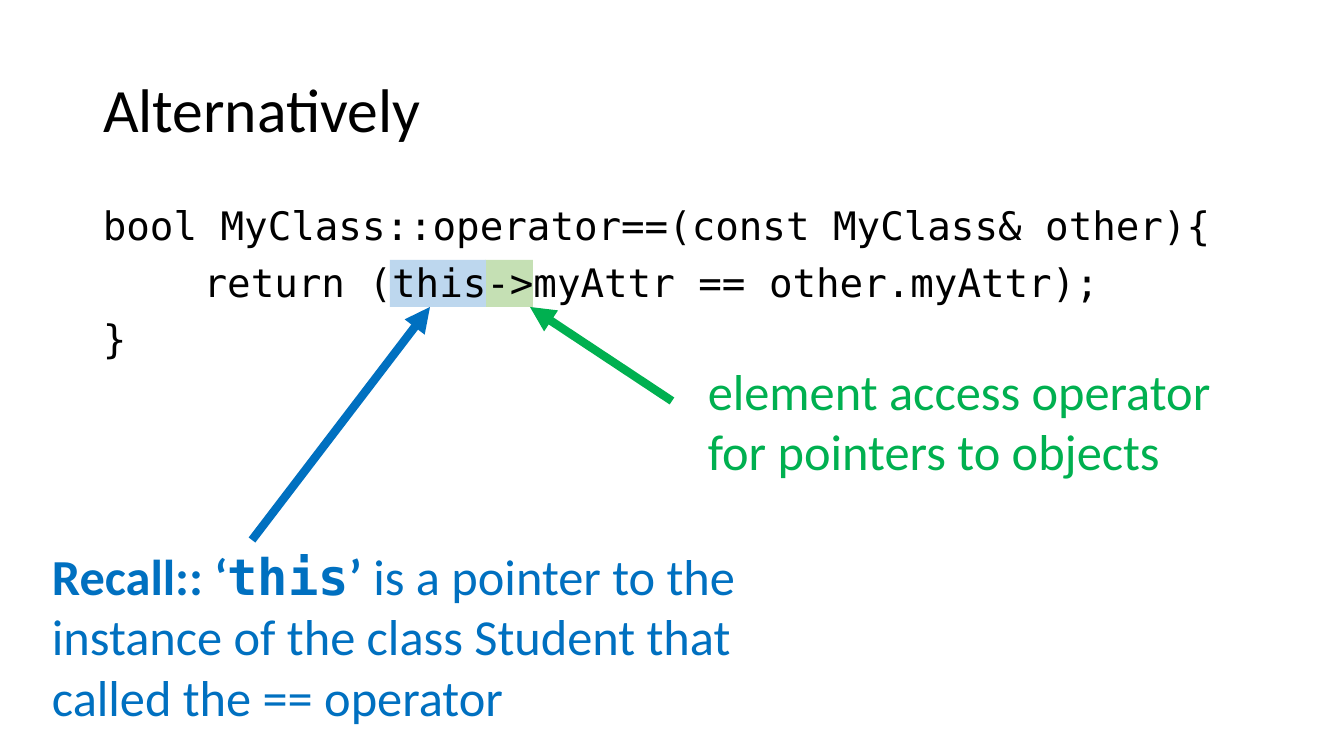
from lxml.etree import SubElement
from pptx import Presentation
from pptx.dml.color import RGBColor
from pptx.enum.shapes import MSO_CONNECTOR as Connector, MSO_SHAPE as Shape
from pptx.enum.text import MSO_ANCHOR as Anchor, MSO_AUTO_SIZE as AutoSize, PP_ALIGN as Align
from pptx.oxml.ns import qn
from pptx.util import Emu, Inches, Pt

# Content: texts are lists of paragraphs, paragraphs are lists of (text, bold, font)
SANS, MONO = "Calibri", "DejaVu Sans Mono"
BLACK, BLUE, GREEN = "000000", "0070C0", "00B050"

TITLE = [[("Alternatively", False, SANS)]]
CODE = [[(line, False, MONO)] for line in (
    "bool MyClass::operator==(const MyClass& other){",
    "\treturn (this->myAttr == other.myAttr);",
    "}",
)]
RECALL = [[
    ("Recall:: ‘", True, SANS),
    ("this", True, MONO),
    ("’", True, SANS),
    (" is a pointer to the instance of the class Student that called the == operator",
     False, SANS),
]]
ACCESS = [[("element access operator for pointers to objects", False, SANS)]]

# Places in px: left, top, width, height
TITLE_BOX = (93, 40, 1159, 146)
CODE_BOX = (93, 202, 1159, 480)
NOTES = [
    (RECALL, (42, 540, 722, 194), BLUE),
    (ACCESS, (698, 355, 584, 132), GREEN),
]
HIGHLIGHTS = [((485, 260, 48, 47), "C5E0B4"), ((390, 260, 96, 47), "BDD7EE")]
ARROWS = [((252, 540, 430, 307), BLUE), ((672, 401, 530, 307), GREEN)]

PX_PER_INCH = 100.8


def px(*lengths):
    return [Emu(round(length * 914400 / PX_PER_INCH)) for length in lengths]


def color(value):
    return RGBColor.from_string(value)


def write(frame, paragraphs, size, ink, spacing=None, before=None, tab=None,
          anchor=Anchor.TOP):
    frame.word_wrap = True
    frame.vertical_anchor = anchor
    for index, runs in enumerate(paragraphs):
        paragraph = frame.add_paragraph() if index else frame.paragraphs[0]
        paragraph.alignment = Align.LEFT
        paragraph.line_spacing = spacing
        paragraph.space_before = before
        if tab:
            stops = SubElement(paragraph._p.get_or_add_pPr(), qn("a:tabLst"))
            SubElement(stops, qn("a:tab"), pos=str(tab), algn="l")
        for text, bold, typeface in runs:
            run = paragraph.add_run()
            run.text = text
            run.font.name = typeface
            run.font.size = Pt(size)
            run.font.bold = bold
            run.font.color.rgb = color(ink)


deck = Presentation()
deck.slide_width, deck.slide_height = px(1344, 756)
slide = deck.slides.add_slide(deck.slide_layouts[5])
shapes = slide.shapes

# Title
title = shapes.title
title.left, title.top, title.width, title.height = px(*TITLE_BOX)
write(title.text_frame, TITLE, 44, BLACK, spacing=0.9, anchor=Anchor.MIDDLE)

# Highlights behind the code
for box, tint in HIGHLIGHTS:
    highlight = shapes.add_shape(Shape.RECTANGLE, *px(*box))
    highlight.shadow.inherit = False
    highlight.fill.solid()
    highlight.fill.fore_color.rgb = color(tint)
    highlight.line.fill.background()

# Code, indented by a one-inch tab stop
code = shapes.add_textbox(*px(*CODE_BOX))
write(code.text_frame, CODE, 28, BLACK, spacing=0.9, before=Pt(10), tab=Inches(1))

# Arrows from the notes to the code
for ends, ink in ARROWS:
    arrow = shapes.add_connector(Connector.STRAIGHT, *px(*ends))
    arrow.line.color.rgb = color(ink)
    arrow.line.width = Pt(6)
    SubElement(arrow.line._get_or_add_ln(), qn("a:tailEnd"), type="triangle")
    SubElement(arrow._element.spPr, qn("a:effectLst"))

# Notes
for paragraphs, box, ink in NOTES:
    note = shapes.add_textbox(*px(*box))
    write(note.text_frame, paragraphs, 36, ink)
    note.text_frame.auto_size = AutoSize.SHAPE_TO_FIT_TEXT

deck.save("out.pptx")
